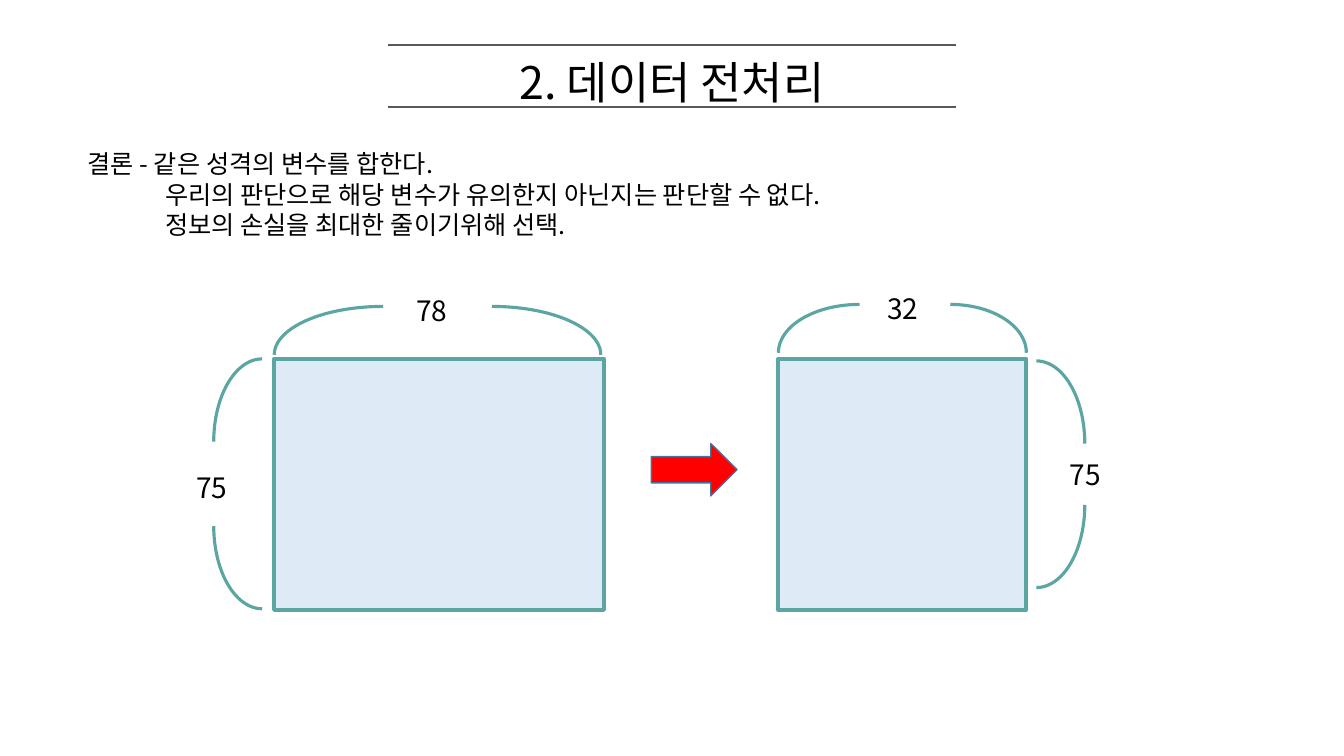
from lxml import etree
from pptx import Presentation
from pptx import util as u
from pptx.dml.color import RGBColor
from pptx.enum import shapes, text
from pptx.oxml.ns import qn

PX = 9144  # 100 px to the inch
FONT = "Noto Sans CJK KR"
BLACK = RGBColor(0x00, 0x00, 0x00)
GRAY = RGBColor(0x59, 0x59, 0x59)
TEAL = RGBColor(0x5B, 0xA5, 0xA3)
PALE_BLUE = RGBColor(0xDE, 0xEB, 0xF7)
RED = RGBColor(0xFF, 0x00, 0x00)
BLUE = RGBColor(0x43, 0x73, 0x9E)

prs = Presentation()
prs.slide_width, prs.slide_height = 1333 * PX, 750 * PX
slide = prs.slides.add_slide(prs.slide_layouts[6])


def add_text(box, lines, size, align=text.PP_ALIGN.LEFT, hang=0):
    """Write lines into a new text box; lines after the first are indented by hang."""
    frame = slide.shapes.add_textbox(*(v * PX for v in box)).text_frame
    frame.word_wrap = True
    frame.auto_size = text.MSO_AUTO_SIZE.SHAPE_TO_FIT_TEXT
    for i, line in enumerate(lines):
        para = frame.add_paragraph() if i else frame.paragraphs[0]
        para.alignment = align
        para.line_spacing = u.Pt(round(size * 1.21, 1))
        if i and hang:
            para._p.get_or_add_pPr().set("marL", str(hang * PX))
        run = para.add_run()
        run.text = line
        run.font.name, run.font.size = FONT, u.Pt(size)
        run.font.color.rgb = BLACK
        etree.SubElement(run._r.get_or_add_rPr(), qn("a:ea"), typeface=FONT)


def add_figure(kind, box, fill, line, weight):
    figure = slide.shapes.add_shape(kind, *(v * PX for v in box))
    figure.shadow.inherit = False
    if fill is None:
        figure.fill.background()
    else:
        figure.fill.solid()
        figure.fill.fore_color.rgb = fill
    figure.line.color.rgb = line
    figure.line.width = u.Pt(weight)
    return figure


# Title between two rules
for rule_y in (45, 106):
    rule = slide.shapes.add_connector(
        shapes.MSO_CONNECTOR.STRAIGHT, 385 * PX, rule_y * PX, 948 * PX, rule_y * PX)
    rule.line.color.rgb = GRAY
    rule.line.width = u.Pt(1.5)
    etree.SubElement(rule._element.spPr, qn("a:effectLst"))
add_text((0, 49, 1333, 64), ["2. 데이터 전처리"], 32, text.PP_ALIGN.CENTER)

# Data before and after merging variables
for matrix_left, matrix_width in ((272, 327), (772, 246)):
    add_figure(shapes.MSO_SHAPE.RECTANGLE, (matrix_left, 356, matrix_width, 249),
               PALE_BLUE, TEAL, 3)

# Brace halves: left, top, width, rotation, flips
brace_halves = [
    (380, 304, 216, 0, ""),
    (272, 304, 216, 0, "H"),
    (867, 302, 151, 0, ""),
    (772, 302, 161, 0, "H"),
    (178, 474, 164, 270, "H"),
    (178, 390, 164, 270, ""),
    (946, 392, 164, 90, "H"),
    (946, 453, 164, 270, "HV"),
]
for left, top, width, rotation, flips in brace_halves:
    brace = add_figure(shapes.MSO_SHAPE.ARC, (left, top, width, 96), None, TEAL, 2.25)
    brace.rotation = rotation
    for axis in flips:
        brace._element.spPr.find(qn("a:xfrm")).set("flip" + axis, "1")

for left, top, count in ((185, 462, "75"), (403, 286, "78"),
                         (870, 284, "32"), (1051, 449, "75")):
    add_text((left, top, 114, 44), [count], 20)

add_figure(shapes.MSO_SHAPE.RIGHT_ARROW, (646, 440, 85, 52), RED, BLUE, 1)

add_text((77, 142, 1044, 101), [
    "결론 - 같은 성격의 변수를 합한다.",
    "우리의 판단으로 해당 변수가 유의한지 아닌지는 판단할 수 없다.",
    "정보의 손실을 최대한 줄이기위해 선택.",
], 18, hang=77)

prs.save("out.pptx")
